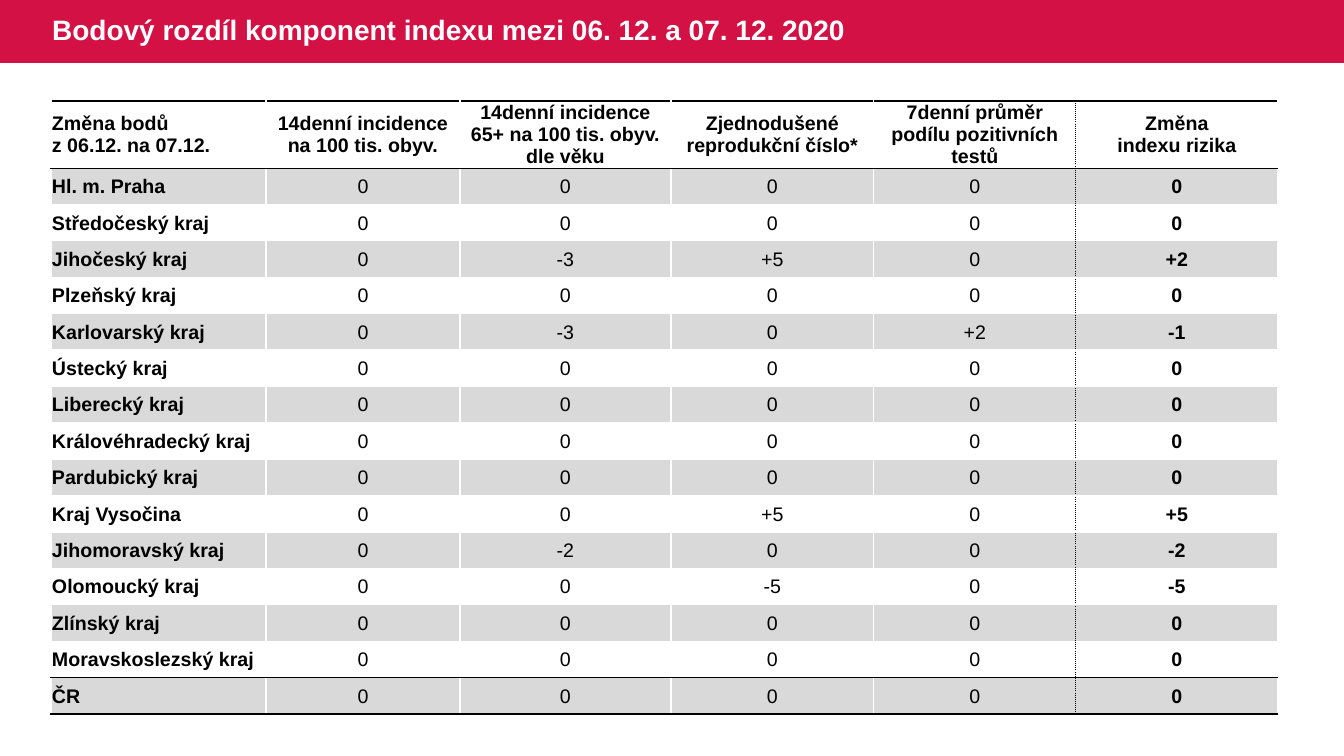
from dataclasses import dataclass

from lxml import etree
from pptx import Presentation, util as u
from pptx.dml.color import RGBColor
from pptx.enum import shapes, text
from pptx.oxml import ns

EMU_PER_PX = 914400 / 100.8


@dataclass(frozen=True)
class Theme:
    """Colours, font and type sizes of the slide."""
    font: str = "Arial"
    red: str = "D31145"
    grey: str = "D9D9D9"
    white: str = "FFFFFF"
    black: str = "000000"
    title_pt: int = 20
    table_pt: int = 14


THEME = Theme()
SLIDE_W, SLIDE_H, BAR_H = 1344, 756, 63
TABLE_X, TABLE_Y = 51, 101
COLUMNS = [215, 194, 211, 203, 202, 202]
HEADER_H, BODY_H = 67, 546

TITLE = "Bodový rozdíl komponent indexu mezi 06. 12. a 07. 12. 2020"
HEADERS = [
    "Změna bodů\nz 06.12. na 07.12.",
    "14denní incidence na 100 tis. obyv.",
    "14denní incidence 65+ na 100 tis. obyv. dle věku",
    "Zjednodušené reprodukční číslo*",
    "7denní průměr podílu pozitivních testů",
    "Změna\nindexu rizika",
]
REGIONS = [
    ("Hl. m. Praha", "0 0 0 0 0"),
    ("Středočeský kraj", "0 0 0 0 0"),
    ("Jihočeský kraj", "0 -3 +5 0 +2"),
    ("Plzeňský kraj", "0 0 0 0 0"),
    ("Karlovarský kraj", "0 -3 0 +2 -1"),
    ("Ústecký kraj", "0 0 0 0 0"),
    ("Liberecký kraj", "0 0 0 0 0"),
    ("Královéhradecký kraj", "0 0 0 0 0"),
    ("Pardubický kraj", "0 0 0 0 0"),
    ("Kraj Vysočina", "0 0 +5 0 +5"),
    ("Jihomoravský kraj", "0 -2 0 0 -2"),
    ("Olomoucký kraj", "0 0 -5 0 -5"),
    ("Zlínský kraj", "0 0 0 0 0"),
    ("Moravskoslezský kraj", "0 0 0 0 0"),
    ("ČR", "0 0 0 0 0"),
]


def px(n):
    """Turn pixels into EMU."""
    return u.Emu(round(n * EMU_PER_PX))


def style_text(tf, size, color, bold, align):
    """Format every paragraph and run of a text frame."""
    for p in tf.paragraphs:
        p.alignment = align
        for r in p.runs:
            r.font.name = THEME.font
            r.font.size = u.Pt(size)
            r.font.bold = bold
            r.font.color.rgb = RGBColor.from_string(color)


def add_title_bar(s):
    """Place the title on a full-width red bar."""
    title = s.shapes.title
    title.left, title.top, title.width, title.height = px(42), 0, px(826), px(BAR_H)
    tf = title.text_frame
    tf.text = TITLE
    tf.word_wrap = True
    tf.auto_size = text.MSO_AUTO_SIZE.NONE
    tf.vertical_anchor = text.MSO_ANCHOR.MIDDLE
    tf.paragraphs[0].line_spacing = 0.9
    style_text(tf, THEME.title_pt, THEME.white, True, text.PP_ALIGN.LEFT)

    bar = s.shapes.add_shape(shapes.MSO_SHAPE.RECTANGLE, 0, 0, px(SLIDE_W), px(BAR_H))
    bar.shadow.inherit = False
    bar.fill.solid()
    bar.fill.fore_color.rgb = RGBColor.from_string(THEME.red)
    bar.line.fill.background()
    title._element.addprevious(bar._element)


def set_borders(cell, edges):
    """Draw 1 pt cell borders from (tag, colour, dash) triples in L, R, T, B order."""
    tc_pr = cell._tc.get_or_add_tcPr()
    for i, (tag, color, dash) in enumerate(edges):
        ln = etree.Element(ns.qn(f"a:{tag}"), w=str(u.Pt(1)))
        fill = etree.SubElement(ln, ns.qn("a:solidFill"))
        etree.SubElement(fill, ns.qn("a:srgbClr"), val=color)
        etree.SubElement(ln, ns.qn("a:prstDash"), val=dash)
        tc_pr.insert(i, ln)


def cell_edges(row, col, last_row, last_col):
    """Rule the header and the total; dot the line before the last column."""
    def side(tag, ruled, dash="solid"):
        return (tag, THEME.black, dash) if ruled else (tag, THEME.white, "solid")

    return [
        side("lnL", col == last_col, "sysDot"),
        side("lnR", col == last_col - 1, "sysDot"),
        side("lnT", row in (0, 1, last_row)),
        side("lnB", row in (0, last_row - 1, last_row)),
    ]


def fill_cell(cell, value, bold, align, shaded):
    """Write and format one table cell."""
    cell.margin_left = cell.margin_right = cell.margin_top = px(1)
    cell.margin_bottom = 0
    cell.vertical_anchor = text.MSO_ANCHOR.MIDDLE
    if shaded:
        cell.fill.solid()
        cell.fill.fore_color.rgb = RGBColor.from_string(THEME.grey)
    else:
        cell.fill.background()
    cell.text_frame.text = value
    style_text(cell.text_frame, THEME.table_pt, THEME.black, bold, align)


def add_region_table(s):
    """Add the table of point changes by region."""
    rows = [HEADERS] + [[name, *values.split()] for name, values in REGIONS]
    last_row, last_col = len(rows) - 1, len(COLUMNS) - 1
    table = s.shapes.add_table(len(rows), len(COLUMNS), px(TABLE_X), px(TABLE_Y),
                               px(sum(COLUMNS)), px(HEADER_H + BODY_H)).table
    table.first_row = table.horz_banding = False
    for column, width in zip(table.columns, COLUMNS):
        column.width = px(width)
    for i, values in enumerate(rows):
        table.rows[i].height = px(BODY_H / last_row if i else HEADER_H)
        for j, value in enumerate(values):
            cell = table.cell(i, j)
            align = text.PP_ALIGN.CENTER if j else text.PP_ALIGN.LEFT
            fill_cell(cell, value, i == 0 or j in (0, last_col), align, i % 2 == 1)
            set_borders(cell, cell_edges(i, j, last_row, last_col))


def main():
    """Build and save the slide."""
    prs = Presentation()
    prs.slide_width, prs.slide_height = px(SLIDE_W), px(SLIDE_H)
    s = prs.slides.add_slide(prs.slide_layouts.get_by_name("Title Only"))
    add_title_bar(s)
    add_region_table(s)
    prs.save("out.pptx")


main()
